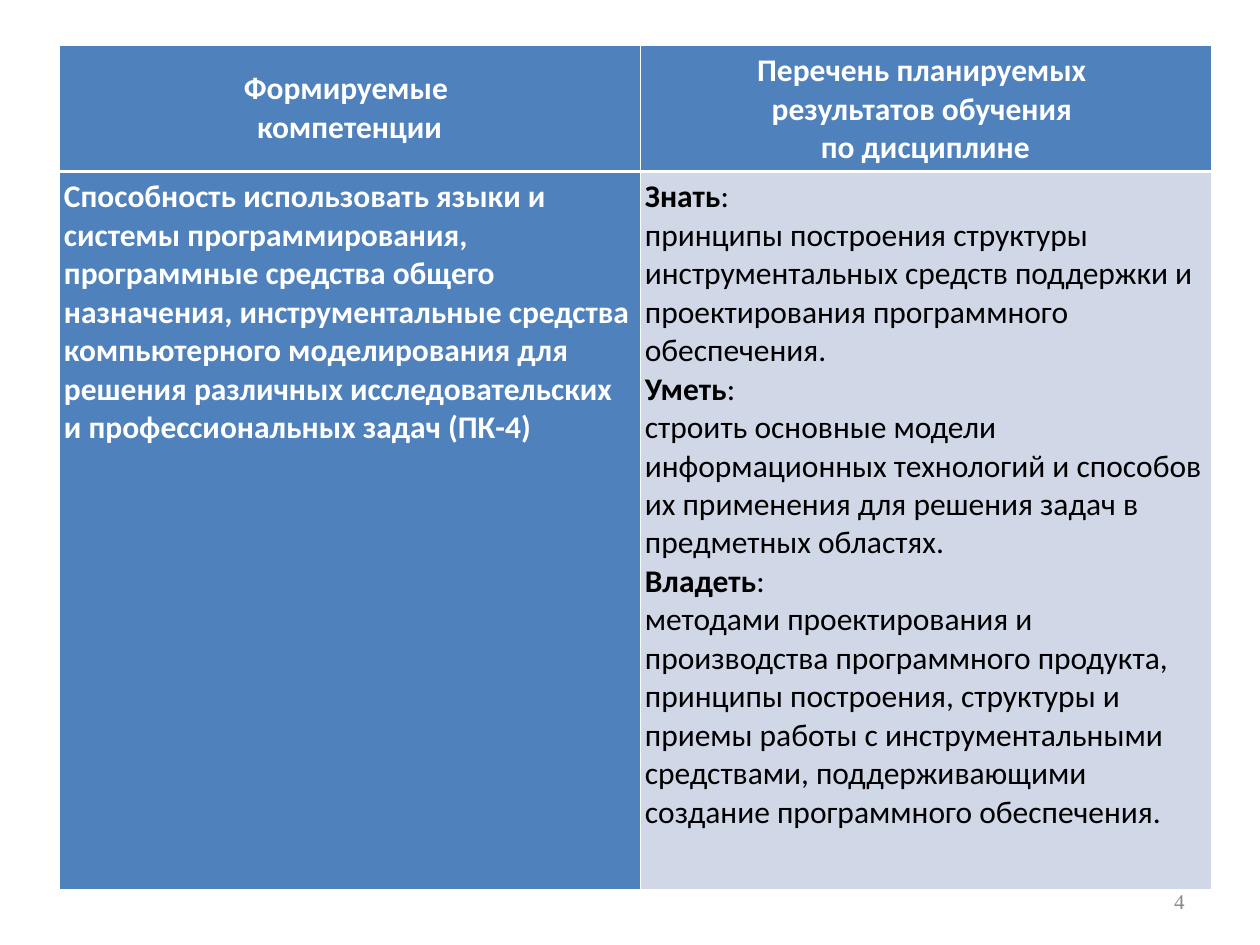
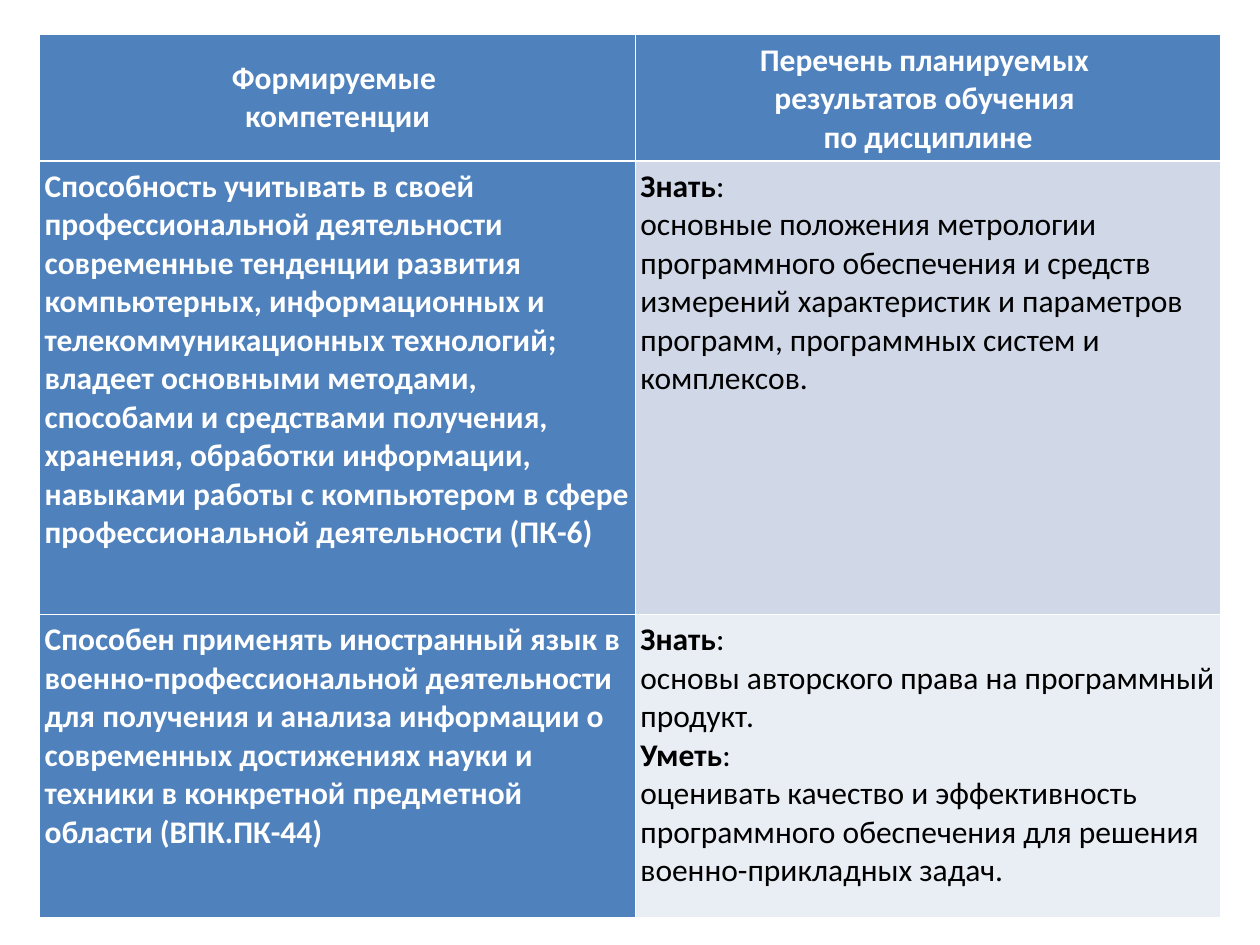
from pptx import Presentation, util as u
from pptx.dml.color import RGBColor
from pptx.enum import text as t
from pptx.oxml import parse_xml
from pptx.oxml.ns import nsdecls

Cm, Pt = u.Cm, u.Pt
HUES = {"head": "4F81BD", "odd": "D0D8E8", "even": "E9EDF4",
        "white": "FFFFFF", "black": "000000", "grey": "898989"}
THIN, THICK = 0.45, 1.47
LEFT_HEAD = ["Формируемые ", "компетенции"]
RIGHT_HEAD = ["Перечень планируемых ", "результатов обучения ", "по дисциплине"]


class Deck:
    def __init__(self):
        self.prs = Presentation()
        self.prs.slide_width, self.prs.slide_height = Cm(25.4), Cm(19.05)
        self.slide = None

    def page(self):
        self.slide = self.prs.slides.add_slide(self.prs.slide_layouts[6])

    def run(self, para, words, hue="black", bold=False, size=18, face="Calibri"):
        run = para.add_run()
        run.text = words
        run.font.name, run.font.size, run.font.bold = face, Pt(size), bold
        run.font.color.rgb = RGBColor.from_string(HUES[hue])

    def number(self, digits):
        box = self.slide.shapes.add_textbox(Cm(18.21), Cm(17.65), Cm(5.92), Cm(1.02))
        frame = box.text_frame
        frame.word_wrap = True
        frame.vertical_anchor = t.MSO_ANCHOR.MIDDLE
        para = frame.paragraphs[0]
        para.alignment = t.PP_ALIGN.RIGHT
        self.run(para, digits, "grey", size=12, face="Times New Roman")

    def cell(self, cell, hue, top=THIN, base=THIN):
        """Fill and border a cell, and return its first paragraph."""
        cell.margin_left = cell.margin_right = Cm(0.1)
        cell.margin_top = cell.margin_bottom = Cm(0.13)
        cell.fill.solid()
        cell.fill.fore_color.rgb = RGBColor.from_string(HUES[hue])
        props = cell._tc.get_or_add_tcPr()
        for spot, (side, width) in enumerate(zip("LRTB", (THIN, THIN, top, base))):
            props.insert(spot, parse_xml(
                f'<a:ln{side} {nsdecls("a")} w="{int(Pt(width))}"><a:solidFill>'
                f'<a:srgbClr val="{HUES["white"]}"/></a:solidFill></a:ln{side}>'))
        return cell.text_frame.paragraphs[0]

    def heads(self, table):
        left, right = table.cell(0, 0), table.cell(0, 1)
        for cell in (left, right):
            self.cell(cell, "head", base=THICK).alignment = t.PP_ALIGN.CENTER
            cell.vertical_anchor = t.MSO_ANCHOR.MIDDLE
        first, last = left.text_frame.paragraphs[0], left.text_frame.add_paragraph()
        last.alignment = t.PP_ALIGN.CENTER
        for para, words in zip((first, last), LEFT_HEAD):
            self.run(para, words, "white", True)
        para = right.text_frame.paragraphs[0]
        for i, words in enumerate(RIGHT_HEAD):
            if i:
                para.add_line_break()
            self.run(para, words, "white", True)

    def table(self, left, top, cols, rows, body):
        """Draw a table; body holds (skill, [(verb, goal), ...]) for each row."""
        table = self.slide.shapes.add_table(
            len(rows), len(cols), Cm(left), Cm(top), Cm(sum(cols)), Cm(sum(rows))).table
        table.first_row = table.horz_banding = False
        for col, width in zip(table.columns, cols):
            col.width = Cm(width)
        for row, height in zip(table.rows, rows):
            row.height = Cm(height)
        self.heads(table)
        for i, (skill, goals) in enumerate(body, 1):
            edge = THICK if i == 1 else THIN
            self.run(self.cell(table.cell(i, 0), "head", edge), skill, "white", True)
            cell = table.cell(i, 1)
            para = self.cell(cell, "odd" if i % 2 else "even", edge)
            for j, (verb, goal) in enumerate(goals):
                if j:
                    para = cell.text_frame.add_paragraph()
                self.run(para, verb, bold=True)
                self.run(para, ":")
                self.run(cell.text_frame.add_paragraph(), goal)


def main():
    deck = Deck()

    deck.page()
    deck.number("4")
    deck.table(1.19, 0.91, [11.71, 11.51], [2.51, 14.48], [
        ("Способность использовать языки и системы программирования, программные "
         "средства общего назначения, инструментальные средства компьютерного "
         "моделирования для решения различных исследовательских и "
         "профессиональных задач (ПК-4)",
         [("Знать", "принципы построения структуры инструментальных средств "
           "поддержки и проектирования программного обеспечения."),
          ("Уметь", "строить основные модели информационных технологий и способов "
           "их применения для решения задач в предметных областях."),
          ("Владеть", "методами проектирования и производства программного "
           "продукта, принципы построения, структуры и приемы работы с "
           "инструментальными средствами, поддерживающими создание программного "
           "обеспечения.")])])

    deck.page()
    deck.table(0.8, 0.7, [12.01, 11.8], [2.39, 9.14, 6.1], [
        ("Способность учитывать в своей профессиональной деятельности современные "
         "тенденции развития компьютерных, информационных и телекоммуникационных "
         "технологий; владеет основными методами, способами и средствами "
         "получения, хранения, обработки информации, навыками работы с "
         "компьютером в сфере профессиональной деятельности (ПК-6)",
         [("Знать", "основные положения метрологии программного обеспечения и "
           "средств измерений характеристик и параметров программ, программных "
           "систем и комплексов.")]),
        ("Способен применять иностранный язык в военно-профессиональной "
         "деятельности для получения и анализа информации о современных "
         "достижениях науки и техники в конкретной предметной области "
         "(ВПК.ПК-44)",
         [("Знать", "основы авторского права на программный продукт."),
          ("Уметь", "оценивать качество и эффективность программного обеспечения "
           "для решения военно-прикладных задач.")])])

    deck.prs.save("out.pptx")


if __name__ == "__main__":
    main()
